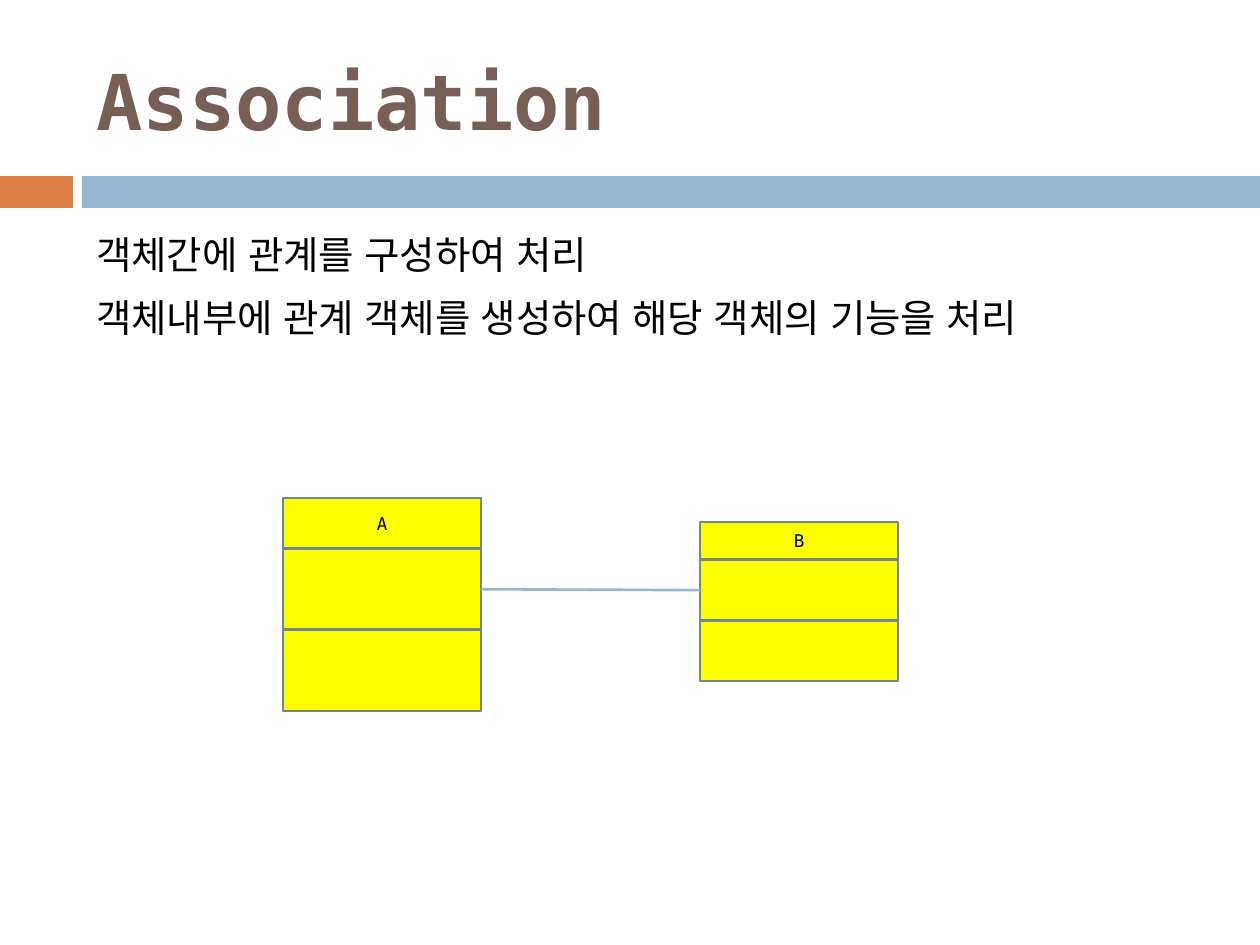
from dataclasses import dataclass

from lxml import etree
from pptx import Presentation
from pptx import util as u
from pptx.dml.color import RGBColor
from pptx.enum import shapes, text
from pptx.oxml import ns

SCALE = 914400 / 126


@dataclass(frozen=True)
class Theme:
    """Colours, fonts and type sizes of the deck."""
    accent: str = "DD8047"
    band: str = "94B6D2"
    title: str = "775F55"
    ink: str = "000000"
    cell: str = "FFFF00"
    border: str = "6D879B"
    mono: str = "DejaVu Sans Mono"
    sans: str = "Arial"
    title_size: int = 44
    body_size: int = 22
    label_size: int = 10
    line_width: float = 1.5


THEME = Theme()


def px(*lengths):
    """Turn pixel lengths into EMU."""
    return [u.Emu(round(length * SCALE)) for length in lengths]


def apply(target, values):
    """Set attributes from a dict of format values."""
    for name, value in values.items():
        setattr(target, name, value)


def add_para(frame, index, words, font, color, layout):
    """Write one formatted paragraph into a text frame."""
    para = frame.paragraphs[0] if index == 0 else frame.add_paragraph()
    apply(para, layout)
    span = para.add_run()
    span.text = words
    apply(span.font, font)
    span.font.color.rgb = RGBColor.from_string(color)
    east = etree.SubElement(span.font._element, ns.qn("a:ea"))
    east.set("typeface", font["name"])


def add_text(page, box, lines, font, color, layout, anchor):
    """Place a wrapping text box with one paragraph per line."""
    frame = page.shapes.add_textbox(*px(*box)).text_frame
    apply(frame, {"word_wrap": True, "vertical_anchor": anchor})
    for index, words in enumerate(lines):
        gap = {"space_before": u.Pt(7)} if index else {}
        add_para(frame, index, words, font, color, {**layout, **gap})


def add_rect(parent, box, fill, border=None):
    """Place a flat rectangle, outlined when a border colour is given."""
    rect = parent.shapes.add_shape(shapes.MSO_SHAPE.RECTANGLE, *px(*box))
    rect.shadow.inherit = False
    rect.fill.solid()
    rect.fill.fore_color.rgb = RGBColor.from_string(fill)
    if border:
        rect.line.color.rgb = RGBColor.from_string(border)
        rect.line.width = u.Pt(THEME.line_width)
    else:
        rect.line.fill.background()
    return rect


def add_header(page, box):
    """Place the title above its two-colour band."""
    left, top, width, height = box
    band_top, band_height, accent_width, band_left = top + 176, 32, 73, 82
    add_rect(page, (left, band_top, accent_width, band_height), THEME.accent)
    add_rect(page, (left + band_left, band_top, width - band_left, band_height), THEME.band)
    font = {"name": THEME.mono, "size": u.Pt(THEME.title_size), "bold": True}
    add_text(page, (left + 84, top + 32, 1124, 136), ["Association"], font,
             THEME.title, {}, text.MSO_ANCHOR.MIDDLE)


def add_body(page, box):
    """Place the explanatory lines."""
    lines = ["객체간에 관계를 구성하여 처리",
             "객체내부에 관계 객체를 생성하여 해당 객체의 기능을 처리"]
    font = {"name": THEME.sans, "size": u.Pt(THEME.body_size)}
    add_text(page, box, lines, font, THEME.ink, {"line_spacing": 1.1},
             text.MSO_ANCHOR.TOP)


def add_class(page, box, name):
    """Place a three-part class box and return its attribute cell."""
    left, top, width, height = box
    group = page.shapes.add_group_shape()
    shares = (5, 8, 8)
    cells = []
    for share in shares:
        part = height * share / sum(shares)
        cells.append(add_rect(group, (left, top, width, part), THEME.cell, THEME.border))
        top += part
    frame = cells[0].text_frame
    frame.vertical_anchor = text.MSO_ANCHOR.MIDDLE
    font = {"name": THEME.mono, "size": u.Pt(THEME.label_size)}
    add_para(frame, 0, name, font, THEME.ink, {"alignment": text.PP_ALIGN.CENTER})
    return cells[1]


def add_diagram(page, box):
    """Place the two classes and the association line between them."""
    left, top, width, height = box
    class_width = 198
    source = add_class(page, (left, top, class_width, height), "A")
    target = add_class(page, (left + width - class_width, top + 24, class_width, 159), "B")
    link = page.shapes.add_connector(shapes.MSO_CONNECTOR.STRAIGHT, 0, 0, 0, 0)
    link.begin_connect(source, 3)
    link.end_connect(target, 1)
    link.line.color.rgb = RGBColor.from_string(THEME.band)
    link.line.width = u.Pt(THEME.line_width)
    etree.SubElement(link._element.spPr, ns.qn("a:effectLst"))


def main():
    """Build and save the deck."""
    deck = Presentation()
    deck.slide_width, deck.slide_height = px(1260, 945)
    page = deck.slides.add_slide(deck.slide_layouts[6])
    add_header(page, (0, 0, 1260, 208))
    add_body(page, (84, 220, 1124, 134))
    add_diagram(page, (283, 498, 615, 213))
    deck.save("out.pptx")


if __name__ == "__main__":
    main()
